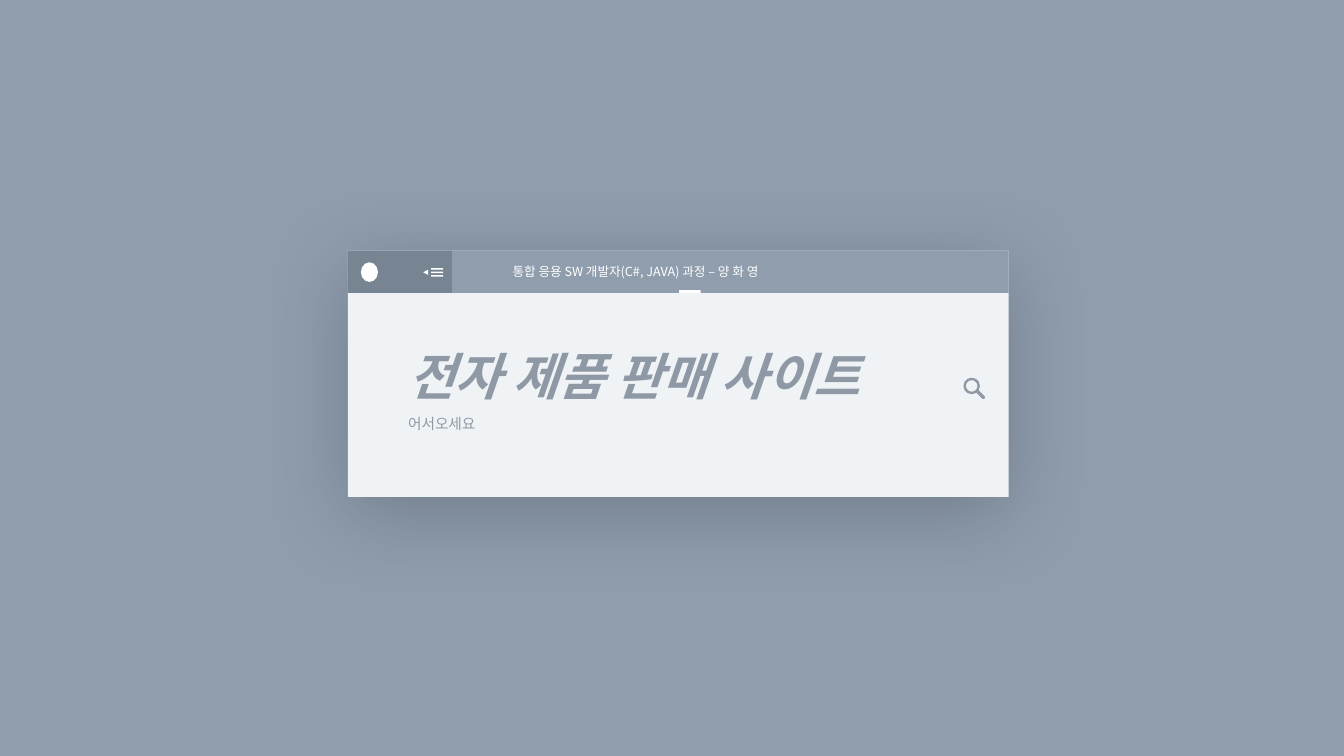
from dataclasses import dataclass

from lxml import etree
from pptx import Presentation
from pptx import util as u
from pptx.dml import color as c
from pptx.enum import shapes, text
from pptx.oxml import ns

KIND = shapes.MSO_SHAPE


@dataclass(frozen=True)
class Theme:
    font: str = "Noto Sans CJK KR"
    slate: str = "8F9DAD"
    slate_dark: str = "778492"
    ink: str = "8E99A5"
    paper: str = "EFF3F6"
    white: str = "FFFFFF"
    title: float = 36
    greeting: float = 10.5
    caption: float = 9
    indent: float = 36


class Board:
    """Draws themed elements on the current slide."""

    def __init__(self, slide, theme):
        self.slide = slide
        self.theme = theme
        self.paint(slide.background.fill, theme.slate)

    def paint(self, fill, color):
        fill.solid()
        fill.fore_color.rgb = c.RGBColor.from_string(color)

    def group(self):
        return self.slide.shapes.add_group_shape()

    def shape(self, kind, box, color, turn=0, adjust=None, group=None):
        shape = (group or self.slide).shapes.add_shape(kind, *map(u.Pt, box))
        shape.shadow.inherit = False
        self.paint(shape.fill, color)
        shape.line.fill.background()
        shape.rotation = turn
        if adjust is not None:
            shape.adjustments[0] = adjust
        return shape

    def glow(self, shape, blur, distance, opacity):
        effects = shape._element.spPr.find(ns.qn("a:effectLst"))
        shadow = etree.SubElement(
            effects, ns.qn("a:outerShdw"), blurRad=str(u.Pt(blur)),
            dist=str(u.Pt(distance)), dir="5400000", algn="t", rotWithShape="0")
        black = etree.SubElement(shadow, ns.qn("a:srgbClr"), val="000000")
        etree.SubElement(black, ns.qn("a:alpha"), val=str(opacity * 1000))

    def label(self, shape, lines, color, spacing=1.0):
        frame = shape.text_frame
        frame.word_wrap = True
        frame.vertical_anchor = text.MSO_ANCHOR.MIDDLE
        for index, (words, size, strong) in enumerate(lines):
            line = frame.add_paragraph() if index else frame.paragraphs[0]
            line.level = 1
            line.alignment = text.PP_ALIGN.LEFT
            line.line_spacing = spacing
            properties = line._p.get_or_add_pPr()
            properties.set("marL", str(u.Pt(self.theme.indent)))
            properties.set("indent", "0")
            run = line.add_run()
            run.text = words
            font = run.font
            font.size = u.Pt(size)
            font.bold = font.italic = strong
            font.color.rgb = c.RGBColor.from_string(color)
            font.name = self.theme.font
            etree.SubElement(run._r.get_or_add_rPr(), ns.qn("a:ea"),
                             typeface=self.theme.font)


def main():
    deck = Presentation()
    deck.slide_width, deck.slide_height = u.Pt(960), u.Pt(540)
    theme = Theme()
    board = Board(deck.slides.add_slide(deck.slide_layouts[6]), theme)

    left, top, width, height = 248.5, 179, 472, 176
    menu_width, bar_height = 74.5, 30.2

    card = board.shape(KIND.RECTANGLE, (left, top, width, height), theme.paper)
    board.glow(card, blur=61, distance=12, opacity=20)
    board.label(card, [("전자 제품 판매 사이트", theme.title, True),
                       ("어서오세요", theme.greeting, False)], theme.ink, spacing=1.5)

    board.shape(KIND.RECTANGLE, (left, top, menu_width, bar_height), theme.slate_dark)

    search = board.group()
    board.shape(KIND.DONUT, (688.2, 269.8, 11.8, 11.8), theme.ink,
                adjust=0.148, group=search)
    board.shape(KIND.ROUNDED_RECTANGLE, (699.2, 277.8, 2.4, 8), theme.ink,
                turn=315, adjust=0.5, group=search)

    board.shape(KIND.OVAL, (257.8, 187.4, 12.2, 14), theme.white)

    for row in range(3):
        board.shape(KIND.RECTANGLE, (308, 191.5 + row * 2.5, 8.5, 1.1), theme.white)
    board.shape(KIND.ISOSCELES_TRIANGLE, (302.2, 192.7, 3.8, 3.6), theme.white, turn=270)

    course = board.shape(KIND.RECTANGLE,
                         (left + menu_width, top, width - menu_width, bar_height),
                         theme.slate)
    board.label(course, [("통합 응용 SW 개발자(C#, JAVA) 과정 – 양 화 영",
                          theme.caption, False)], theme.white)
    board.shape(KIND.RECTANGLE, (485, 207.2, 15.4, 2), theme.white)

    deck.save("out.pptx")


if __name__ == "__main__":
    main()
